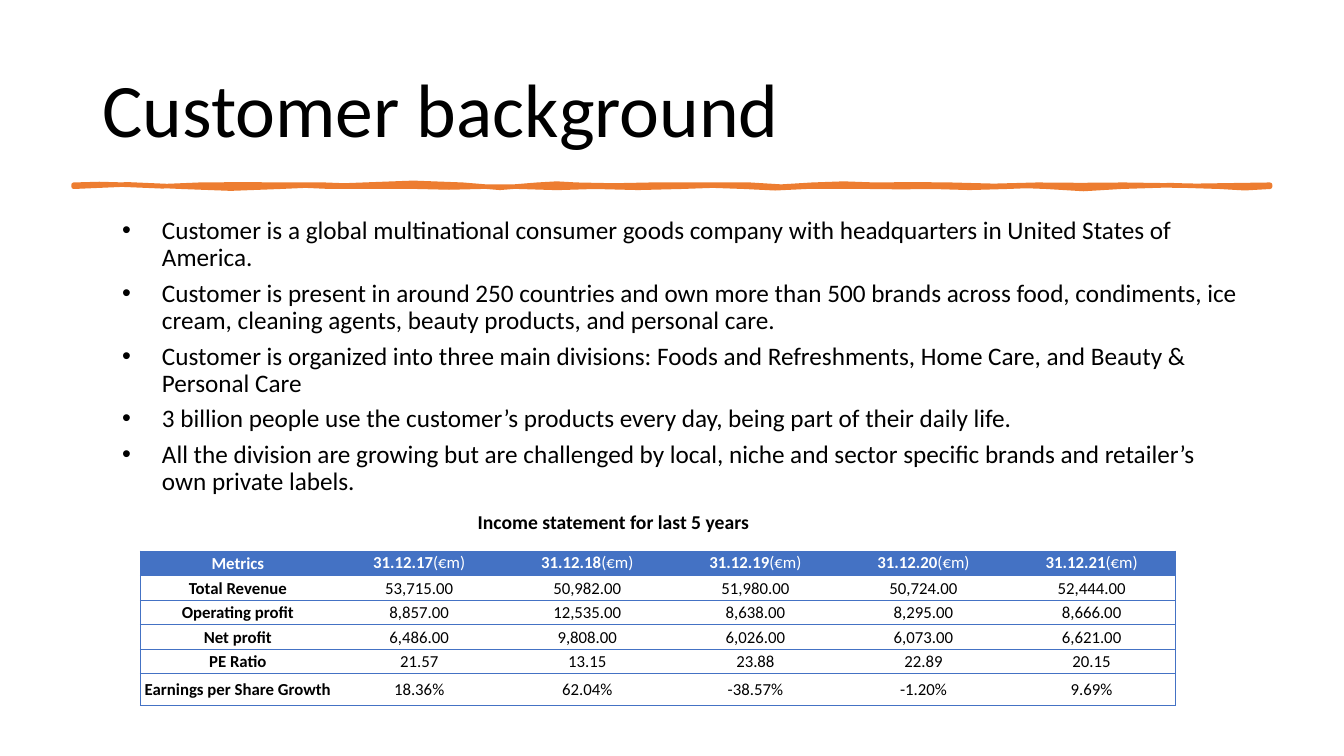
from lxml import etree
from pptx import Presentation
from pptx.dml.color import RGBColor
from pptx.enum.text import MSO_ANCHOR, MSO_AUTO_SIZE, PP_ALIGN
from pptx.oxml.ns import qn
from pptx.util import Pt

TITLE = "Customer background"
BULLETS = [
    "Customer is a global multinational consumer goods company with headquarters in United States of America.",
    "Customer is present in around 250 countries and own more than 500 brands across food, condiments, ice cream, "
    "cleaning agents, beauty products, and personal care.",
    "Customer is organized into three main divisions: Foods and Refreshments, Home Care, and Beauty & Personal Care",
    "3 billion people use the customer’s products every day, being part of their daily life.",
    "All the division are growing but are challenged by local, niche and sector specific brands and retailer’s own "
    "private labels.",
]
CAPTION = "Income statement for last 5 years"
UNIT = "(€m)"
INCOME = [
    ("Metrics", "31.12.17", "31.12.18", "31.12.19", "31.12.20", "31.12.21"),
    ("Total Revenue", "53,715.00", "50,982.00", "51,980.00", "50,724.00", "52,444.00"),
    ("Operating profit", "8,857.00", "12,535.00", "8,638.00", "8,295.00", "8,666.00"),
    ("Net profit", "6,486.00", "9,808.00", "6,026.00", "6,073.00", "6,621.00"),
    ("PE Ratio", "21.57", "13.15", "23.88", "22.89", "20.15"),
    ("Earnings per Share Growth", "18.36%", "62.04%", "-38.57%", "-1.20%", "9.69%"),
]
COL_WIDTHS = [139] + [120.1] * 5
ROW_HEIGHTS = [17.5] * 5 + [22.8]

RULE_LEFT, RULE_RIGHT = 52.6, 907.2
RULE_TOP, RULE_BOTTOM = 132, 133.4
TOP_WAVES = [
    (89.3, -1.4, 0), (142.6, 0.7, 2.2), (204.5, -1.4, 0.7), (231.8, 0, 0),
    (259.9, 0.7, 0.7), (330.5, -0.7, -2.9), (383.8, 3.6, 2.2), (411.8, -1.4, -0.7),
    (465.1, 1.4, 0), (535.7, 0.7, -0.7), (580.3, 1.4, 2.2), (625, -1.4, -0.7),
    (679, 1.4, -2.2), (740.9, 2.9, -0.7), (802.8, 1.4, -0.7), (RULE_RIGHT, 1.4, 0.7),
]
BOTTOM_WAVES = [
    (871.2, 1.4, 1.4), (800.6, -0.7, -2.2), (747.4, 2.9, 1.4), (719.3, -0.7, -0.7),
    (666, 1.4, 0.7), (621.4, 0, 0.7), (576, 0, 0), (531.4, 0.7, 2.2),
    (486.7, -1.4, -0.7), (424.8, 1.4, 0.7), (370.8, 0, 2.2), (343.4, -1.4, 1.4),
    (298.1, -0.7, 2.2), (236.2, -1.4, 1.4), (200.2, -1.4, -0.7), (129.6, 1.4, 2.2),
    (RULE_LEFT, -2.2, -2.2),
]
WAVE_STEPS = 2

BLACK = RGBColor(0x00, 0x00, 0x00)
WHITE = RGBColor(0xFF, 0xFF, 0xFF)
BLUE = RGBColor(0x44, 0x72, 0xC4)
ORANGE = RGBColor(0xED, 0x7D, 0x31)
FONT = "Calibri"
LEFT, CENTER = PP_ALIGN.LEFT, PP_ALIGN.CENTER
TOP, MIDDLE = MSO_ANCHOR.TOP, MSO_ANCHOR.MIDDLE
NO_FIT = MSO_AUTO_SIZE.NONE


def apply(obj, **values):
    for name, value in values.items():
        setattr(obj, name, value)


def place(sp, left, top, width, height):
    apply(sp, left=Pt(left), top=Pt(top), width=Pt(width), height=Pt(height))


def add_run(p, text, size, color=BLACK, bold=False):
    r = p.add_run()
    r.text = text
    apply(r.font, name=FONT, size=Pt(size), bold=bold)
    r.font.color.rgb = color


def wave_points(start, base, waves):
    points = []
    for end, dy1, dy2 in waves:
        for step in range(1, WAVE_STEPS + 1):
            t = step / WAVE_STEPS
            dy = 3 * t * (1 - t) * ((1 - t) * dy1 + t * dy2)
            points.append((Pt(start + (end - start) * t), Pt(base + dy)))
        start = end
    return points


def set_borders(cell, sides):
    tc_pr = cell._tc.get_or_add_tcPr()
    for side in "LRTB":
        ln = etree.SubElement(tc_pr, qn("a:ln" + side), w=str(Pt(1)))
        if side in sides:
            fill = etree.SubElement(ln, qn("a:solidFill"))
            etree.SubElement(fill, qn("a:srgbClr"), val=str(BLUE))
        else:
            etree.SubElement(ln, qn("a:noFill"))


def add_title(slide):
    sp = slide.shapes.title
    place(sp, 66, 28.8, 828, 104.4)
    tf = sp.text_frame
    apply(tf, vertical_anchor=MIDDLE, auto_size=NO_FIT)
    p = tf.paragraphs[0]
    apply(p, alignment=LEFT, line_spacing=0.9)
    add_run(p, TITLE, 54)


def add_rule(slide):
    builder = slide.shapes.build_freeform(Pt(RULE_LEFT), Pt(RULE_TOP))
    builder.add_line_segments(
        wave_points(RULE_LEFT, RULE_TOP, TOP_WAVES)
        + [(Pt(RULE_RIGHT), Pt(RULE_BOTTOM))]
        + wave_points(RULE_RIGHT, RULE_BOTTOM, BOTTOM_WAVES)
    )
    sp = builder.convert_to_shape()
    sp.shadow.inherit = False
    sp.fill.solid()
    sp.fill.fore_color.rgb = ORANGE
    sp.line.color.rgb = ORANGE
    sp.line.width = Pt(3.25)


def add_bullets(slide):
    sp = slide.placeholders[1]
    place(sp, 66, 151.8, 828, 231)
    tf = sp.text_frame
    apply(tf, vertical_anchor=TOP, auto_size=NO_FIT)
    for i, text in enumerate(BULLETS):
        p = tf.add_paragraph() if i else tf.paragraphs[0]
        apply(p, alignment=LEFT, line_spacing=0.9, space_before=Pt(0), space_after=Pt(6))
        p_pr = p._p.get_or_add_pPr()
        p_pr.set("marL", str(Pt(42.5)))
        p_pr.set("indent", str(Pt(-28.5)))
        etree.SubElement(p_pr, qn("a:buFont"), typeface="Arial")
        etree.SubElement(p_pr, qn("a:buChar"), char="•")
        add_run(p, text, 18)


def add_income_table(slide):
    frame = slide.shapes.add_table(
        len(INCOME), len(COL_WIDTHS), Pt(100.4), Pt(393.8), Pt(sum(COL_WIDTHS)), Pt(sum(ROW_HEIGHTS))
    )
    table = frame.table
    for column, width in zip(table.columns, COL_WIDTHS):
        column.width = Pt(width)
    for row, height in zip(table.rows, ROW_HEIGHTS):
        row.height = Pt(height)
    last = len(COL_WIDTHS) - 1
    for i, values in enumerate(INCOME):
        for j, text in enumerate(values):
            cell = table.cell(i, j)
            header, label = i == 0, j == 0
            apply(
                cell,
                margin_left=Pt(0.75), margin_right=Pt(0.75), margin_top=Pt(0.75), margin_bottom=Pt(0),
                vertical_anchor=TOP if header and not label else MIDDLE,
            )
            set_borders(cell, "TB" + ("L" if label else "") + ("R" if j == last else ""))
            cell.fill.solid()
            cell.fill.fore_color.rgb = BLUE if header else WHITE
            p = cell.text_frame.paragraphs[0]
            p.alignment = CENTER
            color = WHITE if header else BLACK
            add_run(p, text, 12, color, header or label)
            if header and not label:
                add_run(p, UNIT, 12, color)


def add_caption(slide):
    sp = slide.shapes.add_textbox(Pt(333.7), Pt(360.7), Pt(209), Pt(24.2))
    tf = sp.text_frame
    tf.word_wrap = True
    p = tf.paragraphs[0]
    p.alignment = CENTER
    add_run(p, CAPTION, 14, bold=True)


def main():
    prs = Presentation()
    apply(prs, slide_width=Pt(960), slide_height=Pt(540))
    slide = prs.slides.add_slide(prs.slide_layouts[1])
    add_title(slide)
    add_rule(slide)
    add_bullets(slide)
    add_income_table(slide)
    add_caption(slide)
    prs.save("out.pptx")


if __name__ == "__main__":
    main()
